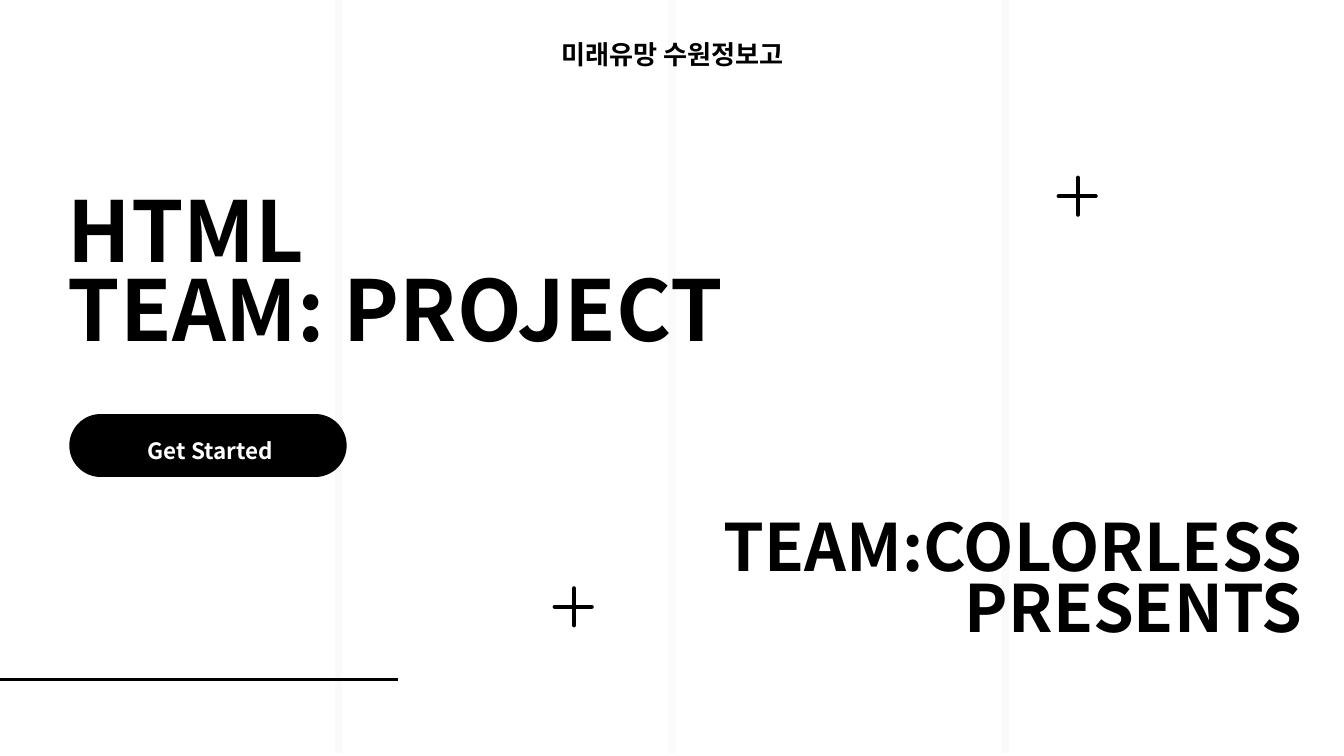
import pptx
import pptx.dml.color
import pptx.enum.shapes
import pptx.enum.text
import pptx.oxml
import pptx.oxml.ns
import pptx.util
import lxml.etree

WIDTH, HEIGHT = 20, 11.25
FONT = "Noto Sans CJK KR"
COLORS = {"ink": "000000", "paper": "FFFFFF", "guide": "FAFAFA"}
ALIGN = pptx.enum.text.PP_ALIGN
qn = pptx.oxml.ns.qn

presentation = pptx.Presentation()
presentation.slide_width = pptx.util.Inches(WIDTH)
presentation.slide_height = pptx.util.Inches(HEIGHT)
slide = presentation.slides.add_slide(presentation.slide_layouts[6])
slide.background.fill.solid()
slide.background.fill.fore_color.rgb = pptx.dml.color.RGBColor.from_string(COLORS["paper"])


def add_line(x1, y1, x2, y2, color, weight, cap="flat"):
    """Draw a straight line; lengths in inches, weight in points."""
    ends = [pptx.util.Inches(value) for value in (x1, y1, x2, y2)]
    connector = slide.shapes.add_connector(pptx.enum.shapes.MSO_CONNECTOR.STRAIGHT, *ends)
    connector.line.color.rgb = pptx.dml.color.RGBColor.from_string(COLORS[color])
    connector.line.width = pptx.util.Pt(weight)
    properties = connector._element.spPr
    properties.find(qn("a:ln")).set("cap", cap)
    lxml.etree.SubElement(properties, qn("a:effectLst"))


def add_text(box, lines, size, spacing, color="ink", align=ALIGN.LEFT):
    """Add a bold text box with one paragraph per line; spacing in points."""
    shape = slide.shapes.add_textbox(*[pptx.util.Inches(value) for value in box])
    frame = shape.text_frame
    frame.word_wrap = True
    frame.auto_size = pptx.enum.text.MSO_AUTO_SIZE.SHAPE_TO_FIT_TEXT
    frame.margin_left = frame.margin_right = frame.margin_top = frame.margin_bottom = 0
    for index, line in enumerate(lines):
        paragraph = frame.add_paragraph() if index else frame.paragraphs[0]
        paragraph.alignment = align
        paragraph.line_spacing = pptx.util.Pt(spacing)
        run = paragraph.add_run()
        run.text = line
        run.font.name = FONT
        run.font.size = pptx.util.Pt(size)
        run.font.bold = True
        run.font.color.rgb = pptx.dml.color.RGBColor.from_string(COLORS[color])
        east_asian = lxml.etree.SubElement(run._r.get_or_add_rPr(), qn("a:ea"))
        east_asian.set("typeface", FONT)


# Pale guides, evenly spaced around the centre
guide_gap = 4.97
for step in (-1, 0, 1):
    x = WIDTH / 2 + step * guide_gap
    add_line(x, -0.05, x, HEIGHT - 0.05, "guide", 7.5)

# Titles
add_text((1.01, 3, 13.48, 2.41), ["HTML", "TEAM: PROJECT"], 90, 83.7)
add_text((9.59, 7.8, 9.79, 1.88), ["TEAM:COLORLESS PRESENTS"], 70, 65.1, align=ALIGN.RIGHT)

# Footer rule, and the button as a thick line with round ends
add_line(0, 0.9 * HEIGHT - 0.01, 5.93, 0.9 * HEIGHT - 0.01, "ink", 3)
add_line(1.5, 6.63, 4.69, 6.63, "ink", 67.5, "rnd")

# Plus signs
arm = 0.275
for x, y in ((16.03, 2.92), (8.53, 9.03)):
    add_line(x - arm, y, x + arm, y, "ink", 4.5, "rnd")
    add_line(x + 0.01, y + arm, x + 0.01, y - arm, "ink", 4.5, "rnd")

# School name and button label
add_text((7.89, 0.5, 4.23, 0.54), ["미래유망 수원정보고"], 28, 39.2, align=ALIGN.CENTER)
add_text((1.53, 6.34, 3.2, 0.53), ["Get Started"], 24, 40.8, "paper", ALIGN.CENTER)

presentation.save("out.pptx")
